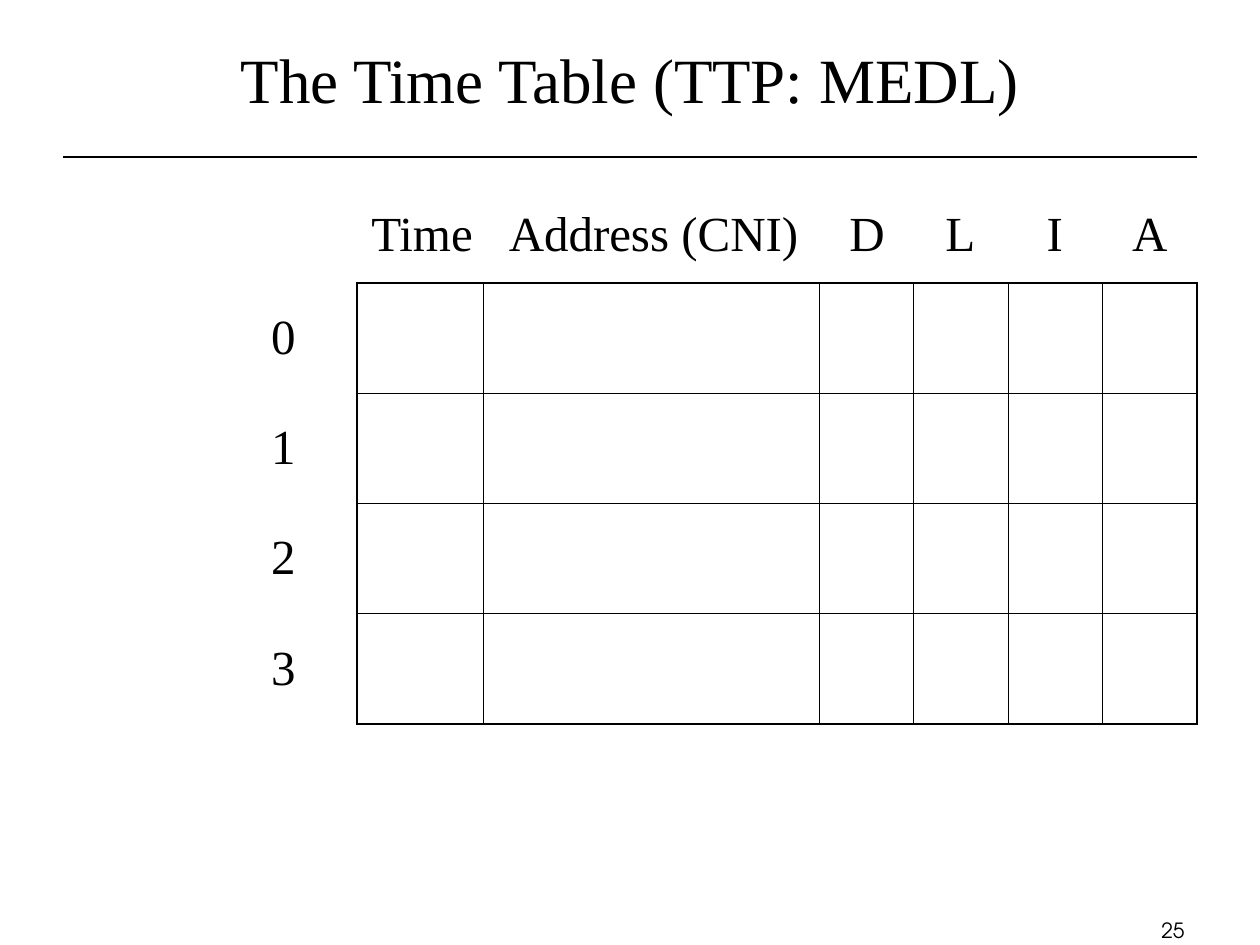
"""Build the slide with the time-triggered message table."""
from dataclasses import dataclass
from typing import Optional

from lxml import etree
from pptx import Presentation
from pptx import util as u
from pptx.dml.color import RGBColor
from pptx.enum import shapes, text
from pptx.oxml import ns

EMU_PER_PX = 914400 / 126


@dataclass(frozen=True)
class Theme:
    ink: RGBColor = RGBColor(0, 0, 0)
    serif: str = "Times New Roman"
    sans: str = "TeX Gyre Adventor"
    title_size: int = 36
    label_size: int = 28
    number_size: int = 12
    rule: float = 0.75
    inner: float = 0.45
    outer: float = 1.08


@dataclass(frozen=True)
class Grid:
    left: int
    top: int
    columns: list[int]
    rows: list[int]
    labels: tuple[str, ...] = ()
    ruled: bool = False


THEME = Theme()
ROW_HEIGHTS = [110, 110, 110, 111]
GRIDS = [
    Grid(357, 283, [126, 336, 94, 95, 94, 95], ROW_HEIGHTS, ruled=True),
    Grid(357, 189, [130, 333, 94, 93, 96, 94], [91],
         ("Time", "Address (CNI)", "D", "L", "I", "A")),
    Grid(210, 283, [147], ROW_HEIGHTS, ("0", "1", "2", "3")),
]


def px(length: int) -> u.Emu:
    return u.Emu(round(length * EMU_PER_PX))


def write(frame, wording: str, size: int, font: str, align) -> None:
    paragraph = frame.paragraphs[0]
    paragraph.text = wording
    paragraph.alignment = align
    paragraph.font.size = u.Pt(size)
    paragraph.font.name = font
    paragraph.font.color.rgb = THEME.ink


def set_border(cell, side: str, width: Optional[float]) -> None:
    border = etree.SubElement(cell._tc.get_or_add_tcPr(), ns.qn(f"a:ln{side}"))
    if width is None:
        etree.SubElement(border, ns.qn("a:noFill"))
        return
    border.set("w", str(u.Pt(width)))
    fill = etree.SubElement(border, ns.qn("a:solidFill"))
    etree.SubElement(fill, ns.qn("a:srgbClr"), val=str(THEME.ink))


def draw_grid(slide, grid: Grid) -> None:
    last_row, last_column = len(grid.rows) - 1, len(grid.columns) - 1
    table = slide.shapes.add_table(
        len(grid.rows), len(grid.columns), px(grid.left), px(grid.top),
        px(sum(grid.columns)), px(sum(grid.rows))).table
    table.first_row = table.horz_banding = False
    for column, width in zip(table.columns, grid.columns):
        column.width = px(width)
    for row, height in zip(table.rows, grid.rows):
        row.height = px(height)
    for index, cell in enumerate(table.iter_cells()):
        r, c = divmod(index, len(grid.columns))
        edges = {"L": c == 0, "R": c == last_column, "T": r == 0, "B": r == last_row}
        for side, is_outer in edges.items():
            width = THEME.outer if is_outer else THEME.inner
            set_border(cell, side, width if grid.ruled else None)
        cell.fill.background()
    for cell, label in zip(table.iter_cells(), grid.labels):
        cell.vertical_anchor = text.MSO_ANCHOR.MIDDLE
        write(cell.text_frame, label, THEME.label_size, THEME.serif, text.PP_ALIGN.CENTER)


def draw_title(slide, wording: str) -> None:
    title = slide.shapes.title
    title.left, title.top, title.width, title.height = px(63), px(0), px(1134), px(157)
    title.text_frame.vertical_anchor = text.MSO_ANCHOR.MIDDLE
    write(title.text_frame, wording, THEME.title_size, THEME.serif, text.PP_ALIGN.CENTER)


def draw_rule(slide, left: int, right: int, y: int) -> None:
    rule = slide.shapes.add_connector(
        shapes.MSO_CONNECTOR.STRAIGHT, px(left), px(y), px(right), px(y))
    rule.line.color.rgb = THEME.ink
    rule.line.width = u.Pt(THEME.rule)
    etree.SubElement(rule._element.spPr, ns.qn("a:effectLst"))


def draw_page_number(slide, number: str) -> None:
    frame = slide.shapes.add_textbox(px(935), px(911), px(262), px(32)).text_frame
    frame.word_wrap = True
    write(frame, number, THEME.number_size, THEME.sans, text.PP_ALIGN.RIGHT)


def main() -> None:
    deck = Presentation()
    deck.slide_width, deck.slide_height = px(1260), px(945)
    slide = deck.slides.add_slide(deck.slide_layouts.get_by_name("Title Only"))
    draw_title(slide, "The Time Table (TTP: MEDL)")
    draw_rule(slide, 63, 1197, 157)
    for grid in GRIDS:
        draw_grid(slide, grid)
    draw_page_number(slide, "25")
    deck.save("out.pptx")


if __name__ == "__main__":
    main()
